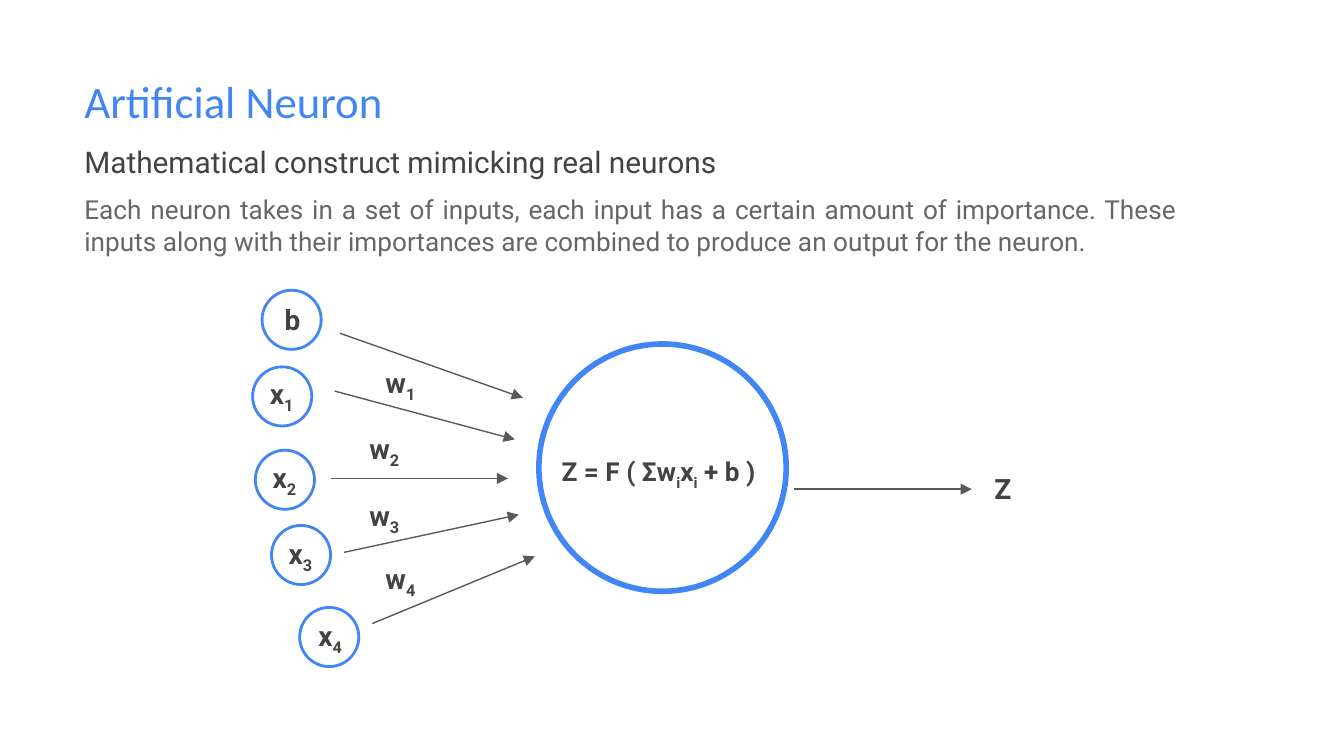
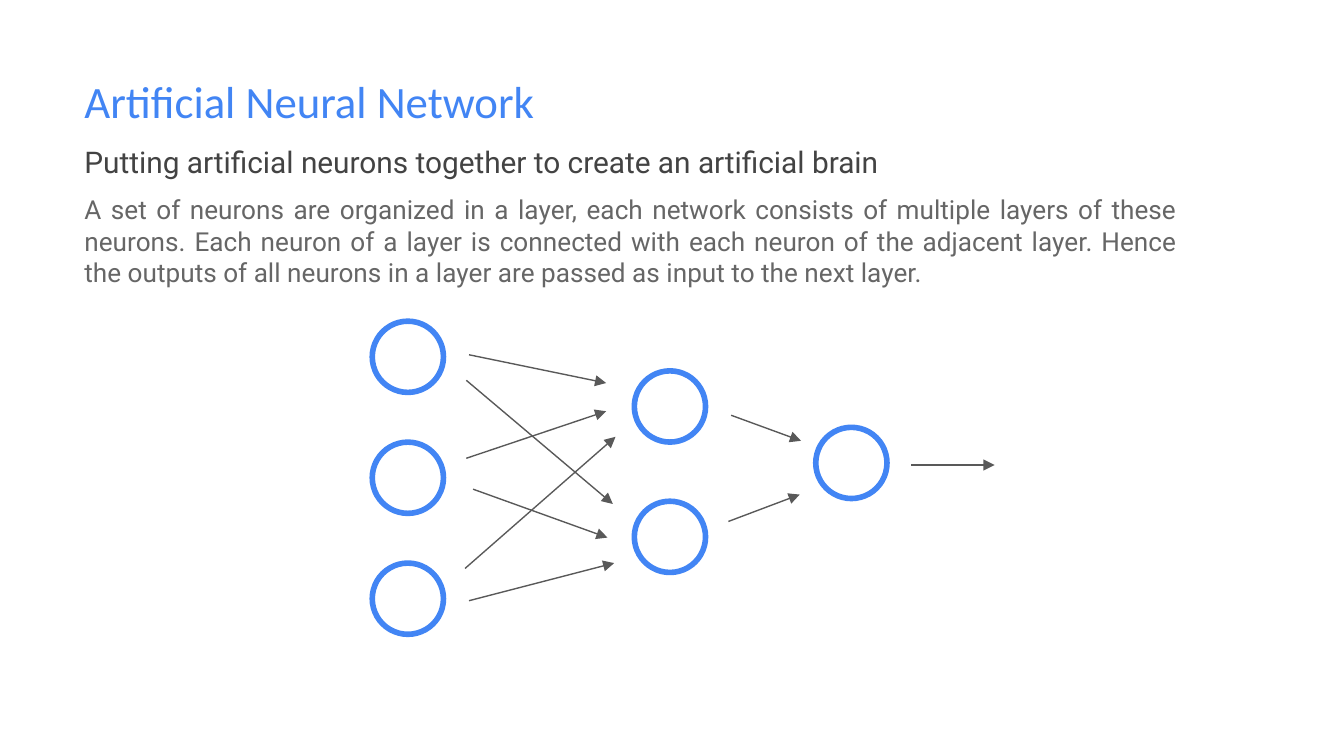
import pptx
import pptx.dml.color
import pptx.enum.shapes
import pptx.enum.text
import pptx.oxml.ns
import pptx.util
from lxml import etree

Inches = pptx.util.Inches
Pt = pptx.util.Pt
RGBColor = pptx.dml.color.RGBColor
ALIGN = pptx.enum.text.PP_ALIGN

COLORS = {
    "accent": "4285F4",
    "heading": "434343",
    "body": "666666",
    "arrow": "595959",
    "neuron": "FFFFFF",
}


def add_text(slide, box, text, size, color, font="Roboto", bold=False, align=ALIGN.LEFT):
    """Add a text box; pieces of text between underscores become subscripts."""
    shape = slide.shapes.add_textbox(*[Inches(length) for length in box])
    frame = shape.text_frame
    frame.word_wrap = True
    frame.auto_size = pptx.enum.text.MSO_AUTO_SIZE.SHAPE_TO_FIT_TEXT
    frame.margin_left = frame.margin_right = Inches(0.1)
    frame.margin_top = frame.margin_bottom = Inches(0.1)
    paragraph = frame.paragraphs[0]
    paragraph.alignment = align
    for index, piece in enumerate(text.split("_")):
        if not piece:
            continue
        run = paragraph.add_run()
        run.text = piece
        run.font.name = font
        run.font.size = Pt(size)
        run.font.bold = bold
        run.font.color.rgb = RGBColor.from_string(COLORS[color])
        if index % 2:
            run.font._element.set("baseline", "-25000")


# Input neurons: left, top.
input_neurons = [(1.95, 2.16), (1.88, 2.73), (1.9, 3.35), (2.02, 3.91), (2.23, 4.52)]

# Network layers: left, tops.
layers = [
    (2.77, [2.39, 3.29, 4.19]),
    (4.72, [2.76, 3.73]),
    (6.07, [3.18]),
]

# Symbols: left, top, text.
symbols = [
    (2.02, 2.15, "b"), (1.91, 2.7, "x_1"), (1.93, 3.33, "x_2"),
    (2.05, 3.89, "x_3"), (2.27, 4.5, "x_4"),
    (2.77, 2.62, "w_1"), (2.65, 3.11, "w_2"),
    (2.65, 3.61, "w_3"), (2.77, 4.08, "w_4"),
    (7.3, 3.41, "Z"),
]

# Neurons are left, top, diameter, outline width; arrows are start x, y and end x, y.
pages = [
    {
        "title": "Artificial Neuron",
        "subtitle": "Mathematical construct mimicking real neurons",
        "subtitle_width": 5.69,
        "body": "Each neuron takes in a set of inputs, each input has a certain amount of "
                "importance. These inputs along with their importances are combined to "
                "produce an output for the neuron.",
        "body_height": 0.67,
        "neurons": [(left, top, 0.44, 1.5) for left, top in input_neurons]
                   + [(4.01, 2.56, 1.84, 3)],
        "arrows": [
            (2.53, 2.48, 3.89, 2.96), (2.49, 2.91, 3.83, 3.27),
            (2.46, 3.56, 3.78, 3.56), (2.56, 4.11, 3.86, 3.83),
            (2.77, 4.64, 3.98, 4.14), (5.91, 3.64, 7.23, 3.64),
        ],
        "labels": [((left, top, 0.47, 0.45), text, 15) for left, top, text in symbols]
                  + [((4.08, 3.29, 1.78, 0.44), "Z = F ( Σw_i_x_i_ + b )", 14)],
    },
    {
        "title": "Artificial Neural Network",
        "subtitle": "Putting artificial neurons together to create an artificial brain",
        "subtitle_width": 6.39,
        "body": "A set of neurons are organized in a layer, each network consists of "
                "multiple layers of these neurons. Each neuron of a layer is connected "
                "with each neuron of the adjacent layer. Hence the outputs of all neurons "
                "in a layer are passed as input to the next layer.",
        "body_height": 0.91,
        "neurons": [(left, top, 0.53, 3) for left, tops in layers for top in tops],
        "arrows": [
            (3.49, 2.64, 4.51, 2.85), (3.47, 2.83, 4.56, 3.75),
            (3.47, 3.41, 4.51, 3.06), (3.52, 3.64, 4.52, 4),
            (3.46, 4.23, 4.58, 3.25), (3.49, 4.47, 4.57, 4.19),
            (5.44, 3.09, 5.96, 3.28), (5.42, 3.88, 5.95, 3.68),
            (6.78, 3.46, 7.4, 3.46),
        ],
        "labels": [],
    },
]

presentation = pptx.Presentation()
presentation.slide_width = Inches(10)
presentation.slide_height = Inches(10 * 9 / 16)

for page in pages:
    slide = presentation.slides.add_slide(presentation.slide_layouts[6])
    add_text(slide, (0.53, 0.45, 4.71, 0.61), page["title"], 24, "accent", font="Calibri")
    add_text(slide, (0.53, 0.97, page["subtitle_width"], 0.47), page["subtitle"], 16, "heading")
    add_text(slide, (0.53, 1.34, 8.33, page["body_height"]), page["body"], 14, "body",
             align=ALIGN.JUSTIFY)

    for left, top, diameter, outline in page["neurons"]:
        neuron = slide.shapes.add_shape(
            pptx.enum.shapes.MSO_SHAPE.OVAL,
            Inches(left), Inches(top), Inches(diameter), Inches(diameter))
        neuron.shadow.inherit = False
        neuron.fill.solid()
        neuron.fill.fore_color.rgb = RGBColor.from_string(COLORS["neuron"])
        neuron.line.color.rgb = RGBColor.from_string(COLORS["accent"])
        neuron.line.width = Pt(outline)

    for ends in page["arrows"]:
        arrow = slide.shapes.add_connector(
            pptx.enum.shapes.MSO_CONNECTOR.STRAIGHT, *[Inches(length) for length in ends])
        arrow.line.color.rgb = RGBColor.from_string(COLORS["arrow"])
        arrow.line.width = Pt(0.75)
        properties = arrow._element.spPr
        line = properties.find(pptx.oxml.ns.qn("a:ln"))
        etree.SubElement(line, pptx.oxml.ns.qn("a:tailEnd"), type="triangle", w="med", len="med")
        etree.SubElement(properties, pptx.oxml.ns.qn("a:effectLst"))

    for box, text, size in page["labels"]:
        add_text(slide, box, text, size, "heading", bold=True)

presentation.save("out.pptx")
